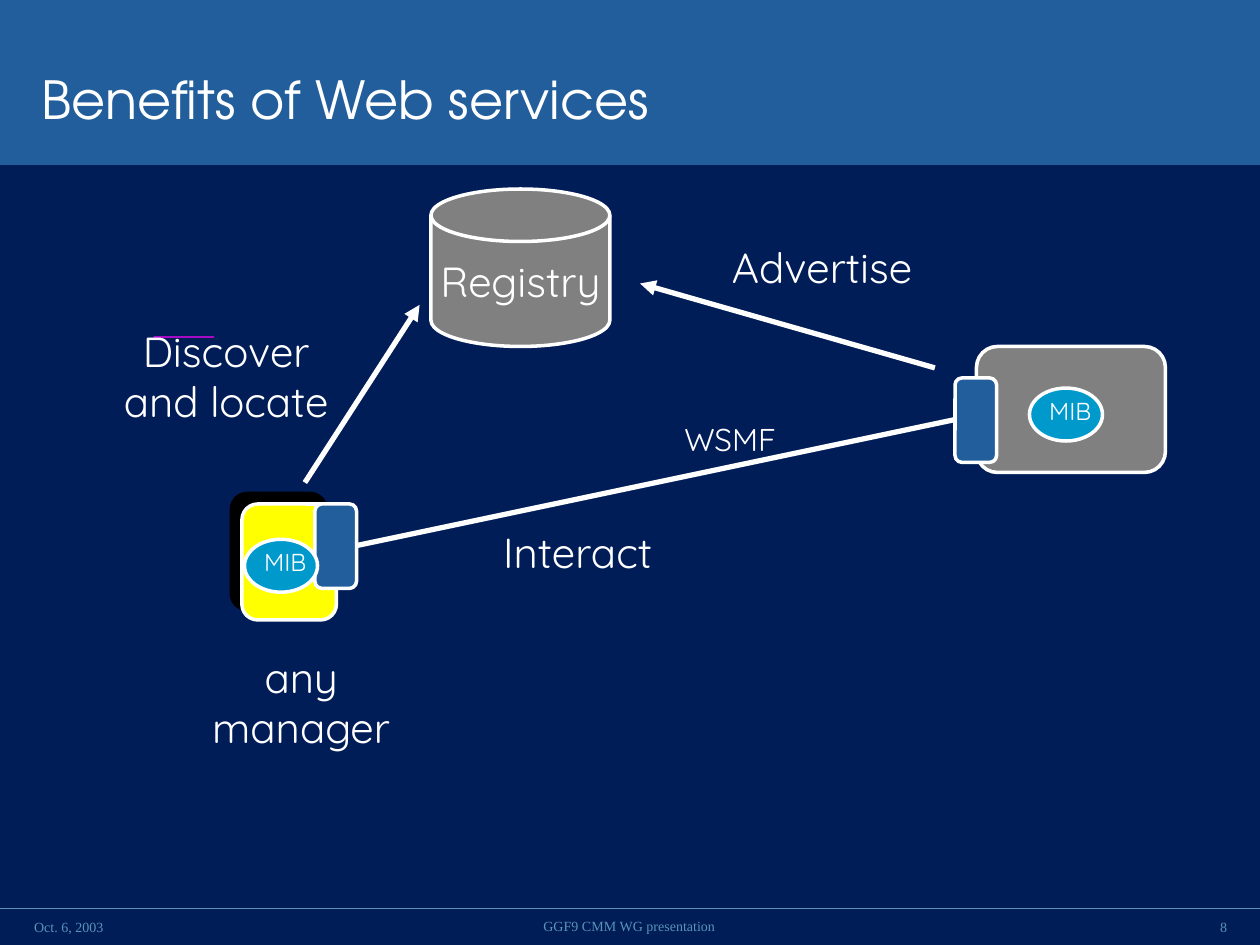
import dataclasses

import pptx
import pptx.dml.color
import pptx.enum.shapes
import pptx.enum.text
import pptx.oxml
import pptx.oxml.ns
import pptx.util

Inches = pptx.util.Inches
Pt = pptx.util.Pt
Shape = pptx.enum.shapes.MSO_SHAPE
Align = pptx.enum.text.PP_ALIGN
Anchor = pptx.enum.text.MSO_ANCHOR
NS = pptx.oxml.ns.nsdecls("a")


@dataclasses.dataclass(frozen=True)
class Theme:
    # Colours
    back: str = "001D58"
    band: str = "215E9B"
    white: str = "FFFFFF"
    gray: str = "808080"
    yellow: str = "FFFF00"
    cyan: str = "0099CC"
    pink: str = "FF00FF"
    muted: str = "5A93B6"
    # Fonts
    head: str = "TeX Gyre Adventor"
    body: str = "Quicksand"
    serif: str = "Times New Roman"
    # Type sizes and line widths
    title: int = 30
    label: int = 24
    small: int = 18
    tiny: int = 14
    foot: int = 8
    edge: float = 2
    flow: float = 3
    rule: float = 0.75


@dataclasses.dataclass(frozen=True)
class Box:
    x: float
    y: float
    w: float
    h: float

    def sub(self, x, y, w, h):
        return Box(self.x + x, self.y + y, w, h)

    def emu(self):
        return [Inches(v) for v in (self.x, self.y, self.w, self.h)]


T = Theme()


def color(code):
    return pptx.dml.color.RGBColor.from_string(code)


def write(shape, text, size, font=T.body, ink=T.white, align=Align.CENTER,
          anchor=Anchor.TOP, wrap=False):
    frame = shape.text_frame
    frame.margin_left = frame.margin_right = 0
    frame.margin_top = frame.margin_bottom = 0
    frame.word_wrap = wrap
    frame.vertical_anchor = anchor
    par = frame.paragraphs[0]
    par.alignment = align
    run = par.add_run()
    run.text = text
    run.font.name = font
    run.font.size = Pt(size)
    run.font.color.rgb = color(ink)


def label(slide, box, text, size=T.label, **style):
    write(slide.shapes.add_textbox(*box.emu()), text, size, **style)


def block(slide, box, kind, fill, edge=True):
    shape = slide.shapes.add_shape(kind, *box.emu())
    shape.shadow.inherit = False
    shape.fill.solid()
    shape.fill.fore_color.rgb = color(fill)
    if edge:
        shape.line.color.rgb = color(T.white)
        shape.line.width = Pt(T.edge)
    else:
        shape.line.fill.background()
    return shape


def link(slide, start, end, ink=T.white, width=T.flow, arrow=False):
    ends = [Inches(v) for v in (*start, *end)]
    line = slide.shapes.add_connector(
        pptx.enum.shapes.MSO_CONNECTOR.STRAIGHT, *ends)
    line.line.color.rgb = color(ink)
    line.line.width = Pt(width)
    if arrow:
        line.line._get_or_add_ln().append(
            pptx.oxml.parse_xml(f'<a:tailEnd {NS} type="triangle"/>'))
    line._element.spPr.append(pptx.oxml.parse_xml(f"<a:effectLst {NS}/>"))


def cast(shape):
    """Give a shape a solid shadow to the upper left."""
    props = shape._element.spPr
    props.remove(props.find(pptx.oxml.ns.qn("a:effectLst")))
    props.append(pptx.oxml.parse_xml(
        f'<a:effectLst {NS}><a:outerShdw dist="{Pt(8.5)}" dir="13500000" '
        'algn="ctr" rotWithShape="0"><a:srgbClr val="000000"/>'
        "</a:outerShdw></a:effectLst>"))


def header(slide, box):
    block(slide, box, Shape.RECTANGLE, T.band, edge=False)
    title = slide.shapes.title
    spot = box.sub(0.33, 0.33, 8.02, 0.9).emu()
    title.left, title.top, title.width, title.height = spot
    write(title, "Benefits of Web services", T.title, font=T.head,
          align=Align.LEFT, anchor=Anchor.MIDDLE, wrap=True)
    # Bring the title in front of its band
    slide.shapes._spTree.append(title._element)


def footer(slide, box):
    link(slide, (box.x, box.y), (box.x + box.w, box.y), T.muted, T.rule)
    parts = [
        (0.27, 0.07, 1.21, "Oct. 6, 2003", Align.LEFT),
        (1.7, 0.06, 6.59, "GGF9 CMM WG presentation", Align.CENTER),
        (9.3, 0.07, 0.44, "8", Align.RIGHT),
    ]
    for x, y, w, text, align in parts:
        label(slide, box.sub(x, y, w, 0.15), text, T.foot, font=T.serif,
              ink=T.muted, align=align, anchor=Anchor.MIDDLE, wrap=True)


def port(slide, box):
    block(slide, box, Shape.ROUNDED_RECTANGLE, T.band)


def mib(slide, box):
    block(slide, box, Shape.OVAL, T.cyan)
    label(slide, box.sub(0.14, 0.06, 0.37, 0.23), "MIB", T.tiny)


def registry(slide, box):
    disk = block(slide, box, Shape.FLOWCHART_MAGNETIC_DISK, T.gray)
    write(disk, "Registry", T.label, anchor=Anchor.MIDDLE)


def agent(slide, box):
    block(slide, box, Shape.ROUNDED_RECTANGLE, T.gray)
    mib(slide, box.sub(0.42, 0.33, 0.58, 0.42))
    port(slide, box.sub(-0.17, 0.25, 0.33, 0.67))


def manager(slide, box):
    cast(block(slide, box, Shape.ROUNDED_RECTANGLE, T.yellow))
    port(slide, box.sub(0.58, 0, 0.33, 0.67))
    mib(slide, box.sub(0.02, 0.28, 0.58, 0.42))
    label(slide, box.sub(-0.48, 1.17, 1.9, 0.8), "any manager", wrap=True)


def flows(slide, box):
    # Arrows to the registry and the link between the two ports
    for start, end, arrow in [((7.42, 2.92), (5.08, 2.25), True),
                              ((7.58, 3.33), (2.83, 4.33), False),
                              ((2.42, 3.83), (3.33, 2.42), True)]:
        link(slide, *[(box.x + x, box.y + y) for x, y in (start, end)],
             arrow=arrow)
    # Names of the flows
    block(slide, box.sub(1.22, 2.67, 0.48, 0.01), Shape.RECTANGLE, T.pink,
          edge=False)
    label(slide, box.sub(0.92, 2.58, 1.75, 0.8), "Discover and locate",
          wrap=True)
    label(slide, box.sub(5.79, 1.92, 1.47, 0.4), "Advertise")
    label(slide, box.sub(3.97, 4.18, 1.23, 0.4), "Interact")
    label(slide, box.sub(5.43, 3.33, 0.73, 0.3), "WSMF", T.small)


def main():
    deck = pptx.Presentation()
    deck.slide_width, deck.slide_height = Inches(10), Inches(7.5)
    slide = deck.slides.add_slide(deck.slide_layouts.get_by_name("Title Only"))
    slide.background.fill.solid()
    slide.background.fill.fore_color.rgb = color(T.back)
    header(slide, Box(0, 0, 10, 1.31))
    registry(slide, Box(3.42, 1.5, 1.42, 1.25))
    agent(slide, Box(7.75, 2.75, 1.5, 1))
    manager(slide, Box(1.92, 4, 0.75, 0.92))
    flows(slide, Box(0, 0, 10, 7.5))
    footer(slide, Box(0, 7.21, 10, 0.29))
    deck.save("out.pptx")


if __name__ == "__main__":
    main()
